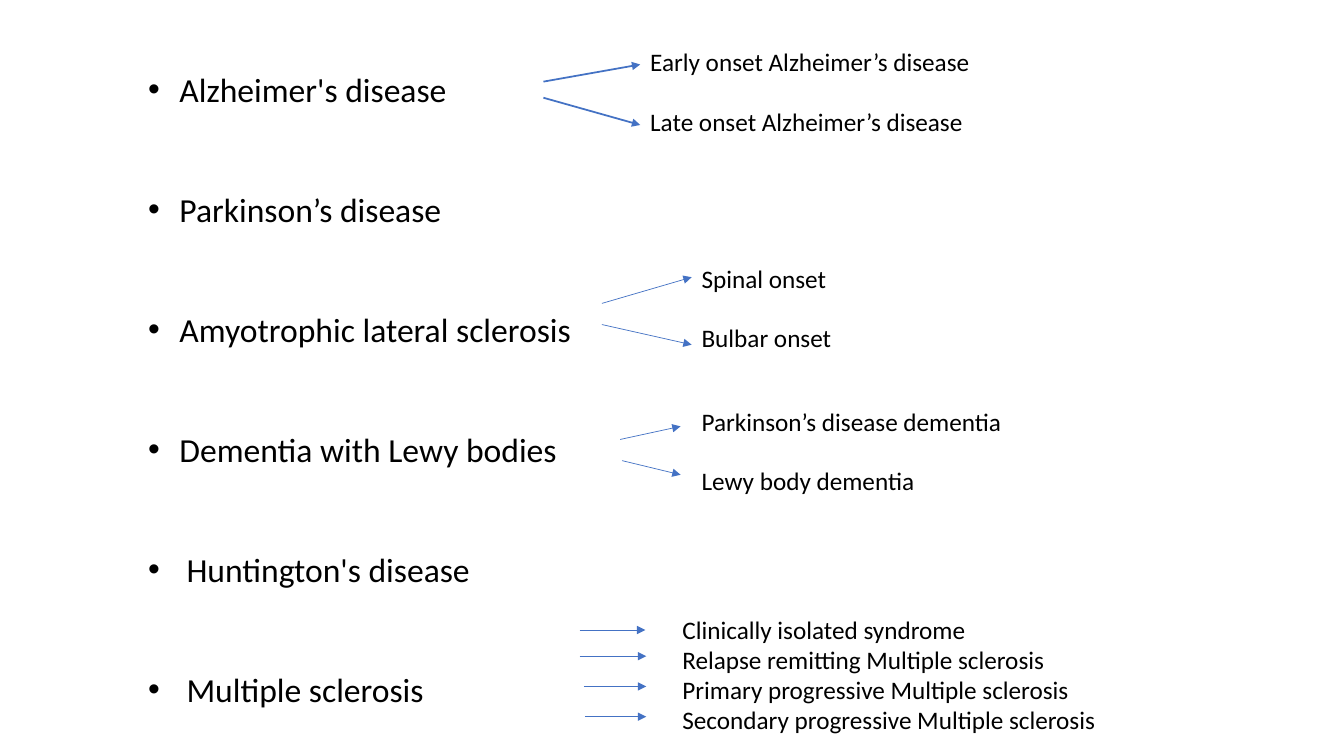
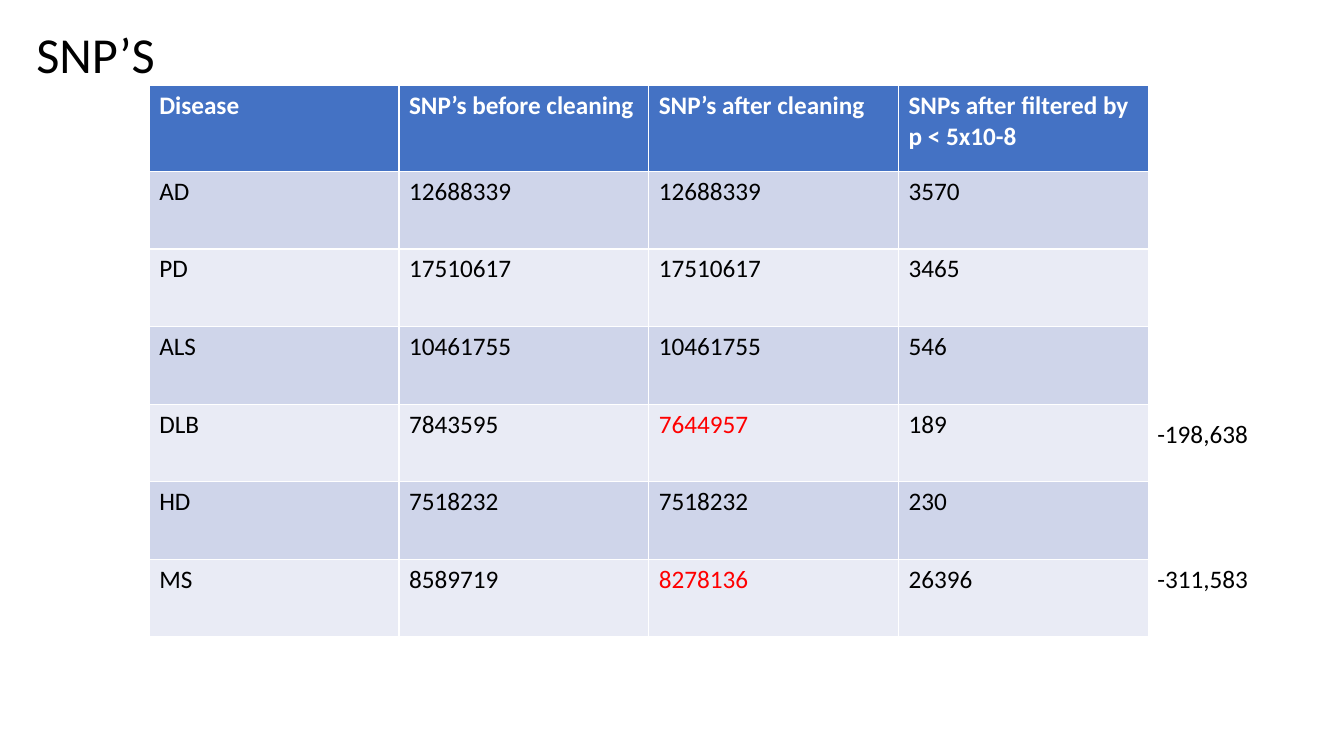
import pptx
import pptx.util
import pptx.dml.color
import pptx.enum.shapes
import pptx.enum.text
import pptx.oxml.ns
import lxml.etree

Inches = pptx.util.Inches
Pt = pptx.util.Pt
RGBColor = pptx.dml.color.RGBColor
qn = pptx.oxml.ns.qn

FONT = "Calibri"
BLACK = RGBColor(0x00, 0x00, 0x00)
WHITE = RGBColor(0xFF, 0xFF, 0xFF)
RED = RGBColor(0xFF, 0x00, 0x00)
BLUE = RGBColor(0x44, 0x72, 0xC4)
BANDS = [RGBColor(0xCF, 0xD5, 0xEA), RGBColor(0xE9, 0xEB, 0xF5)]


def set_text(tf, lines, size, color=BLACK, gap=0, bold=False):
    tf.text = "\n".join(lines)
    for p in tf.paragraphs:
        p.alignment = pptx.enum.text.PP_ALIGN.LEFT
        p.space_before = Pt(0)
        p.space_after = Pt(gap)
        p.font.name = FONT
        p.font.size = Pt(size)
        p.font.bold = bold
        p.font.color.rgb = color


def add_text(s, x, y, w, h, lines, gap=0):
    tf = s.shapes.add_textbox(Inches(x), Inches(y), Inches(w), Inches(h)).text_frame
    tf.word_wrap = True
    set_text(tf, lines, 18, gap=gap)


prs = pptx.Presentation()
prs.slide_width = Inches(13.33)
prs.slide_height = Inches(7.5)

s = prs.slides.add_slide(prs.slide_layouts[1])
title = s.shapes.title.element
title.getparent().remove(title)

diseases = [
    ("Alzheimer's disease", 0.31),
    ("Parkinson’s disease", 0.31),
    ("Amyotrophic lateral sclerosis", 0.31),
    ("Dementia with Lewy bodies", 0.31),
    ("Huntington's disease", 0.38),
    ("Multiple sclerosis", 0.38),
]
body = s.placeholders[1]
body.left, body.top = Inches(1.37), Inches(0.63)
body.width, body.height = Inches(8.03), Inches(6.87)
tf = body.text_frame
tf.auto_size = pptx.enum.text.MSO_AUTO_SIZE.NONE
tf.vertical_anchor = pptx.enum.text.MSO_ANCHOR.TOP
set_text(tf, [name for name, indent in diseases], 24, gap=57)
for p, (name, indent) in zip(tf.paragraphs, diseases):
    pPr = p._p.get_or_add_pPr()
    pPr.set("marL", str(Inches(indent)))
    pPr.set("indent", str(-Inches(indent)))

subtypes = [
    (6.35, 0.41, 4.28, 1.15, 21,
     ["Early onset Alzheimer’s disease", "Late onset Alzheimer’s disease"]),
    (6.86, 2.56, 2.16, 1.15, 21, ["Spinal onset", "Bulbar onset"]),
    (6.86, 3.98, 5.09, 1.01, 21,
     ["Parkinson’s disease dementia", "Lewy body dementia"]),
    (6.67, 6.04, 5.73, 1.35, 0,
     ["Clinically isolated syndrome", "Relapse remitting Multiple sclerosis",
      "Primary progressive Multiple sclerosis",
      "Secondary progressive Multiple sclerosis"]),
]
for x, y, w, h, gap, lines in subtypes:
    add_text(s, x, y, w, h, lines, gap)

arrows = [
    (5.39, 0.81, 6.35, 0.64, 1.25),
    (5.39, 0.97, 6.35, 1.24, 1.25),
    (5.97, 3.01, 6.86, 2.75, 0.5),
    (5.97, 3.22, 6.86, 3.42, 0.5),
    (6.15, 4.36, 6.75, 4.23, 0.5),
    (6.17, 4.57, 6.75, 4.71, 0.5),
    (5.75, 6.25, 6.4, 6.25, 0.5),
    (5.75, 6.51, 6.41, 6.51, 0.5),
    (5.79, 6.81, 6.41, 6.81, 0.5),
    (5.8, 7.11, 6.41, 7.11, 0.5),
]
for x1, y1, x2, y2, width in arrows:
    arrow = s.shapes.add_connector(
        pptx.enum.shapes.MSO_CONNECTOR.STRAIGHT,
        Inches(x1), Inches(y1), Inches(x2), Inches(y2))
    arrow.line.color.rgb = BLUE
    arrow.line.width = Pt(width)
    lxml.etree.SubElement(arrow.line._get_or_add_ln(), qn("a:tailEnd"), type="triangle")
    lxml.etree.SubElement(arrow.element.spPr, qn("a:effectLst"))

s = prs.slides.add_slide(prs.slide_layouts[5])
title = s.shapes.title
title.left, title.top = Inches(0.26), Inches(0.17)
title.width, title.height = Inches(5.25), Inches(0.71)
set_text(title.text_frame, ["SNP’S"], 36)

rows = [
    ["Disease", "SNP’s before cleaning", "SNP’s after cleaning",
     "SNPs after filtered by\np < 5x10-8"],
    ["AD", "12688339", "12688339", "3570"],
    ["PD", "17510617", "17510617", "3465"],
    ["ALS", "10461755", "10461755", "546"],
    ["DLB", "7843595", "7644957", "189"],
    ["HD", "7518232", "7518232", "230"],
    ["MS", "8589719", "8278136", "26396"],
]
table = s.shapes.add_table(len(rows), len(rows[0]), Inches(1.48), Inches(0.85),
                           Inches(9.91), Inches(5.48)).table
for i, row in enumerate(rows):
    table.rows[i].height = Inches(0.77 if i else 0.85)
    for j, value in enumerate(row):
        cell = table.cell(i, j)
        cell.fill.solid()
        cell.fill.fore_color.rgb = BANDS[(i - 1) % 2] if i else BLUE
        changed = i > 0 and j == 2 and value != row[1]
        color = RED if changed else BLACK if i else WHITE
        set_text(cell.text_frame, value.split("\n"), 18, color, bold=i == 0)

add_text(s, 11.38, 4.1, 1.83, 0.4, ["-198,638"])
add_text(s, 11.38, 5.54, 1.22, 0.4, ["-311,583"])

prs.save("out.pptx")
